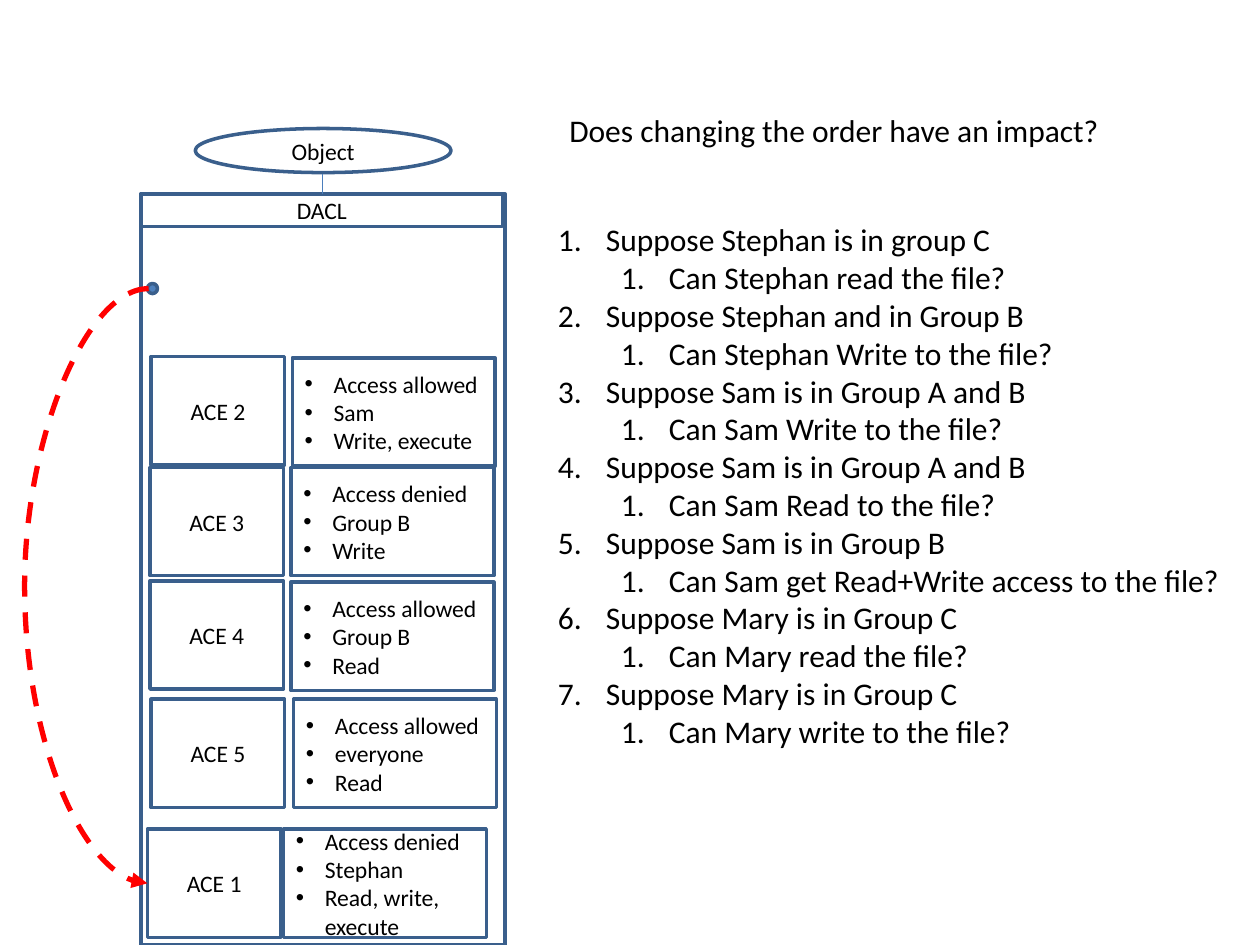
import pptx
import pptx.dml.color
import pptx.enum.dml
import pptx.enum.shapes
import pptx.enum.text
import pptx.oxml
import pptx.oxml.ns
import pptx.util
from lxml import etree

Inches = pptx.util.Inches
Pt = pptx.util.Pt
Kind = pptx.enum.shapes.MSO_SHAPE
Link = pptx.enum.shapes.MSO_CONNECTOR
Align = pptx.enum.text.PP_ALIGN
Anchor = pptx.enum.text.MSO_ANCHOR
qn = pptx.oxml.ns.qn


def color(code):
    return pptx.dml.color.RGBColor.from_string(code)


def apply(target, values):
    for name, value in values.items():
        setattr(target, name, value)


def add(parent, tag, **values):
    return etree.SubElement(parent, qn(tag), values)


class Board:
    edge = "3A5F8C"
    ink = "000000"
    face = "Calibri"
    small = 13.5
    large = 18

    def __init__(self, slide):
        self.slide = slide

    def para(self, frame, first, text, size, align=Align.LEFT):
        para = frame.paragraphs[0] if first else frame.add_paragraph()
        para.alignment = align
        run = para.add_run()
        run.text = text
        apply(run.font, {"name": self.face, "size": Pt(size)})
        run.font.color.rgb = color(self.ink)
        return para

    def mark(self, para, left, hang, tag, **values):
        props = para._p.get_or_add_pPr()
        props.set("marL", str(Inches(left)))
        props.set("indent", str(Inches(-hang)))
        add(props, "a:buFont", typeface="Arial" if tag == "a:buChar" else "+mj-lt")
        add(props, tag, **values)

    def shape(self, kind, x, y, w, h, fill=None):
        shape = self.slide.shapes.add_shape(kind, Inches(x), Inches(y), Inches(w), Inches(h))
        shape.shadow.inherit = False
        if fill:
            shape.fill.solid()
            shape.fill.fore_color.rgb = color(fill)
        else:
            shape.fill.background()
        shape.line.color.rgb = color(self.edge)
        shape.line.width = Pt(2)
        apply(shape.text_frame, {"word_wrap": True, "vertical_anchor": Anchor.MIDDLE})
        return shape

    def label(self, kind, text, *place):
        frame = self.shape(kind, *place).text_frame
        self.para(frame, True, text, self.small, Align.CENTER)

    def bullets(self, items, *place):
        frame = self.shape(Kind.RECTANGLE, *place).text_frame
        for index, item in enumerate(items):
            para = self.para(frame, index == 0, item, self.small)
            self.mark(para, 0.23, 0.23, "a:buChar", char="•")

    def text(self, x, y, w, h, wrap):
        box = self.slide.shapes.add_textbox(Inches(x), Inches(y), Inches(w), Inches(h))
        apply(box.text_frame, {"word_wrap": wrap,
                               "auto_size": pptx.enum.text.MSO_AUTO_SIZE.SHAPE_TO_FIT_TEXT})
        return box.text_frame

    def title(self, text, *place):
        self.para(self.text(*place, False), True, text, self.large)

    def quiz(self, pairs, *place):
        frame = self.text(*place, True)
        for index, pair in enumerate(pairs):
            for level, line in enumerate(pair):
                para = self.para(frame, index + level == 0, line, self.large)
                para.level = level
                self.mark(para, 0.38 + level * 0.5, 0.38, "a:buAutoNum", type="arabicPeriod")

    def line(self, kind, start, end, code, width):
        line = self.slide.shapes.add_connector(kind, *map(Inches, start + end))
        line.line.color.rgb = color(code)
        line.line.width = Pt(width)
        add(line._element.spPr, "a:effectLst")
        return line

    def arc(self, start, end, reach, code, width):
        line = self.line(Link.CURVE, start, end, code, width)
        line.line.dash_style = pptx.enum.dml.MSO_LINE.DASH
        add(line.line._get_or_add_ln(), "a:tailEnd", type="triangle")
        bend = round(reach / abs(end[0] - start[0]) * 100000)
        guides = line._element.spPr.find(qn("a:prstGeom")).get_or_add_avLst()
        add(guides, "a:gd", name="adj1", fmla=f"val {bend}")


ACES = [
    ("ACE 1", 1.17, 6.58, 2.25, 6.58, ["Access denied", "Stephan", "Read, write, execute"]),
    ("ACE 2", 1.2, 2.83, 2.32, 2.84, ["Access allowed", "Sam", "Write, execute"]),
    ("ACE 3", 1.19, 3.71, 2.31, 3.71, ["Access denied", "Group B", "Write"]),
    ("ACE 4", 1.19, 4.61, 2.31, 4.62, ["Access allowed", "Group B", "Read"]),
    ("ACE 5", 1.2, 5.55, 2.33, 5.55, ["Access allowed", "everyone", "Read"]),
]
QUIZ = [
    ("Suppose Stephan is in group C", "Can Stephan read the file?"),
    ("Suppose Stephan and in Group B", "Can Stephan Write to the file?"),
    ("Suppose Sam is in Group A and B", "Can Sam Write to the file?"),
    ("Suppose Sam is in Group A and B", "Can Sam Read to the file?"),
    ("Suppose Sam is in Group B", "Can Sam get Read+Write access to the file?"),
    ("Suppose Mary is in Group C", "Can Mary read the file?"),
    ("Suppose Mary is in Group C", "Can Mary write to the file?"),
]


def main():
    deck = pptx.Presentation()
    apply(deck, {"slide_width": Inches(10), "slide_height": Inches(7.5)})
    board = Board(deck.slides.add_slide(deck.slide_layouts[6]))
    board.label(Kind.OVAL, "Object", 1.55, 1.02, 2.03, 0.35)
    board.label(Kind.RECTANGLE, "DACL", 1.12, 1.54, 2.87, 0.26)
    for name, x, y, left, top, rights in ACES:
        board.bullets(rights, left, top, 1.61, 0.86)
        board.label(Kind.RECTANGLE, name, x, y, 1.06, 0.86)
    board.shape(Kind.RECTANGLE, 1.12, 1.54, 2.89, 5.96)
    board.line(Link.STRAIGHT, (2.56, 1.38), (2.56, 1.54), "4B7EBC", 0.75)
    board.quiz(QUIZ, 4.33, 1.7, 5.51, 4.95)
    board.shape(Kind.OVAL, 1.17, 2.25, 0.08, 0.08, "4F81BD")
    board.arc((1.18, 2.29), (1.17, 7.01), 1, "FF0000", 3)
    board.title("Does changing the order have an impact?", 4.42, 0.83, 4.46, 0.4)
    deck.save("out.pptx")


if __name__ == "__main__":
    main()
